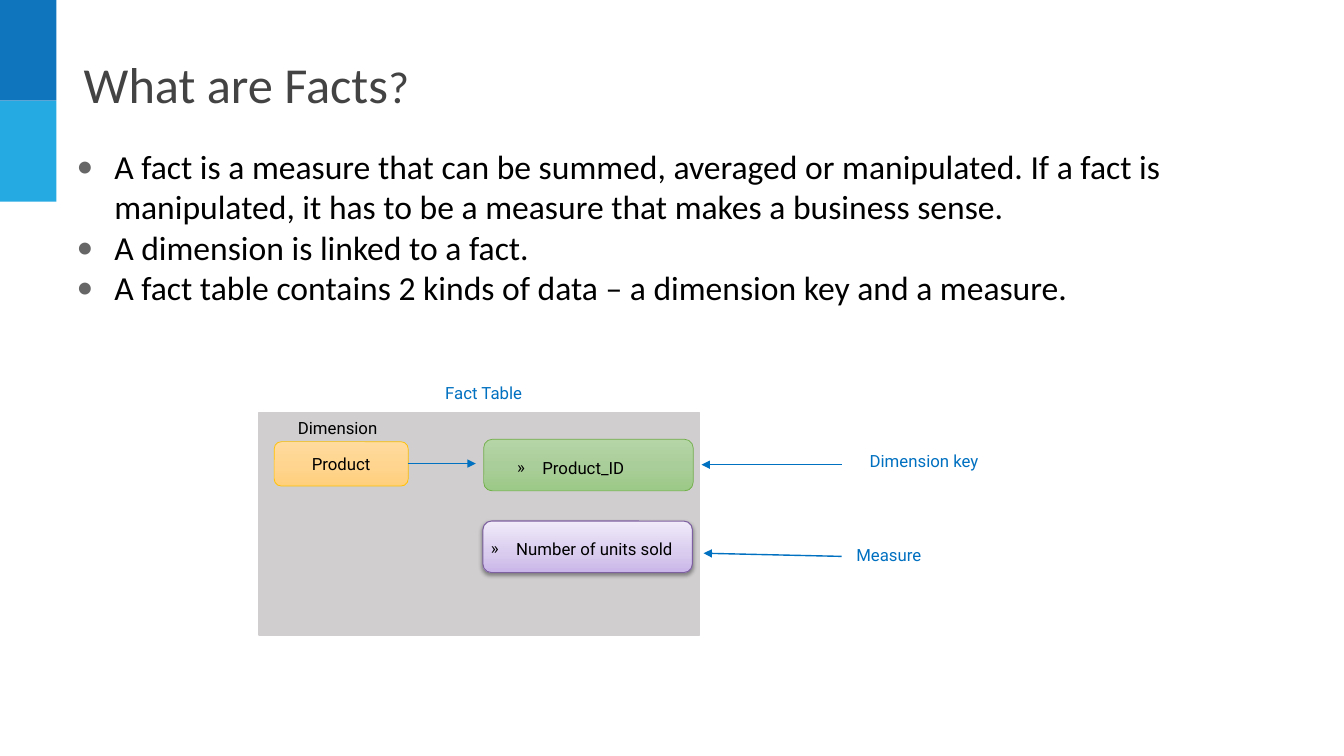
from lxml import etree
from pptx import Presentation
from pptx.dml.color import RGBColor
from pptx.enum.shapes import MSO_CONNECTOR, MSO_SHAPE
from pptx.enum.text import MSO_ANCHOR, MSO_AUTO_SIZE, PP_ALIGN
from pptx.oxml.ns import qn
from pptx.util import Cm, Pt

COLORS = {
    "title": "434343", "text": "000000", "bullet": "666666", "accent": "0070C0",
    "bar_dark": "0F75BD", "bar_light": "25AAE2", "panel": "D0CECE",
    "orange_line": "FFC000", "green_line": "70AD47", "purple_line": "7D60A0",
}


def style_paragraph(p, size, font, color, bullet=None, indent=0):
    p.space_before = Pt(0)
    if bullet:
        pPr = p._p.get_or_add_pPr()
        pPr.set("marL", str(Cm(indent)))
        pPr.set("indent", str(-Cm(indent)))
        if bullet == "•":
            clr = etree.SubElement(pPr, qn("a:buClr"))
            etree.SubElement(clr, qn("a:srgbClr"), val=COLORS["bullet"])
        etree.SubElement(pPr, qn("a:buFont"), typeface=font)
        etree.SubElement(pPr, qn("a:buChar"), char=bullet)
    for r in p.runs:
        r.font.size = Pt(size)
        r.font.name = font
        r.font.color.rgb = RGBColor.from_string(COLORS[color])


def add_box(kind, x, y, w, h, fill, line=None, width=1):
    sp = s.shapes.add_shape(kind, Cm(x), Cm(y), Cm(w), Cm(h))
    sp.shadow.inherit = False
    if isinstance(fill, str):
        sp.fill.solid()
        sp.fill.fore_color.rgb = RGBColor.from_string(COLORS[fill])
    else:
        sp.fill.gradient()
        sp.fill.gradient_angle = 270
        stops = sp._element.spPr.find(qn("a:gradFill")).find(qn("a:gsLst"))
        for gs in list(stops):
            stops.remove(gs)
        for pos, color in fill:
            gs = etree.SubElement(stops, qn("a:gs"), pos=str(pos * 1000))
            etree.SubElement(gs, qn("a:srgbClr"), val=color)
    if line:
        sp.line.color.rgb = RGBColor.from_string(COLORS[line])
        sp.line.width = Pt(width)
    else:
        sp.line.fill.background()
    return sp


prs = Presentation()
prs.slide_width, prs.slide_height = Cm(33.87), Cm(19.05)
s = prs.slides.add_slide(prs.slide_layouts[1])

title = s.shapes.title
title.left, title.top, title.width, title.height = Cm(1.98), Cm(1.27), Cm(27.94), Cm(2.54)
tf = title.text_frame
tf.auto_size = MSO_AUTO_SIZE.NONE
tf.vertical_anchor = MSO_ANCHOR.TOP
tf.margin_left = tf.margin_right = Cm(0.13)
tf.margin_top = tf.margin_bottom = Cm(0.08)
p = tf.paragraphs[0]
p.alignment = PP_ALIGN.LEFT
for text in ("What are Facts", "?"):
    p.add_run().text = text
style_paragraph(p, 36, "Calibri", "title")
p.runs[1].font.size = Pt(32)

for i, color in enumerate(("bar_dark", "bar_light")):
    add_box(MSO_SHAPE.RECTANGLE, 0, i * 2.54, 1.42, 2.54, color)

body = s.placeholders[1]
body.left, body.top, body.width, body.height = Cm(1.6), Cm(3.35), Cm(29.49), Cm(5.84)
tf = body.text_frame
tf.auto_size = MSO_AUTO_SIZE.NONE
tf.vertical_anchor = MSO_ANCHOR.TOP
tf.margin_left = tf.margin_right = tf.margin_top = tf.margin_bottom = Cm(0.33)
tf.text = "\n".join((
    "A fact is a measure that can be summed, averaged or manipulated. If a fact is "
    "manipulated, it has to be a measure that makes a business sense.",
    "A dimension is linked to a fact.",
    "A fact table contains 2 kinds of data – a dimension key and a measure.",
))
for p in tf.paragraphs:
    style_paragraph(p, 24, "Calibri", "text", "•", 0.95)

add_box(MSO_SHAPE.RECTANGLE, 6.53, 10.39, 11.1, 5.61, "panel", "panel")

product = add_box(MSO_SHAPE.ROUNDED_RECTANGLE, 6.91, 11.13, 3.38, 1.12,
                  ((0, "FFDB9E"), (50, "FFD590"), (100, "FFD07C")), "orange_line", 0.5)
tf = product.text_frame
tf.text = "Product"
tf.vertical_anchor = MSO_ANCHOR.MIDDLE
tf.paragraphs[0].alignment = PP_ALIGN.CENTER
style_paragraph(tf.paragraphs[0], 12, "Roboto", "text")

add_box(MSO_SHAPE.ROUNDED_RECTANGLE, 12.19, 11.07, 5.28, 1.3,
        ((0, "B5D5A7"), (50, "AACE9A"), (100, "9CC987")), "green_line", 0.5)
measure = add_box(MSO_SHAPE.ROUNDED_RECTANGLE, 12.17, 13.13, 5.28, 1.3,
                  ((0, "F0EAF9"), (65, "D8CBEE"), (100, "C9B5E8")), "purple_line", 0.75)
effects = measure._element.spPr.find(qn("a:effectLst"))
shadow = etree.SubElement(effects, qn("a:outerShdw"), blurRad=str(Pt(3.1)),
                          dist=str(Pt(1.6)), dir="5400000", rotWithShape="0")
clr = etree.SubElement(shadow, qn("a:srgbClr"), val=COLORS["text"])
etree.SubElement(clr, qn("a:alpha"), val="38000")

for text, x, y, w, h, color, bullet in (
    ("Fact Table", 9.65, 9.53, 5.08, 0.84, "accent", None),
    ("Dimension", 5.97, 10.41, 5.08, 0.84, "text", None),
    ("Dimension key", 20.75, 11.23, 5.08, 0.84, "accent", None),
    ("Measure", 19.86, 13.59, 5.08, 0.84, "accent", None),
    ("Product_ID", 12.78, 11.4, 5.56, 0.74, "text", "»"),
    ("Number of units sold", 12.12, 13.44, 5.56, 0.74, "text", "»"),
):
    tf = s.shapes.add_textbox(Cm(x), Cm(y), Cm(w), Cm(h)).text_frame
    tf.word_wrap = True
    tf.text = text
    p = tf.paragraphs[0]
    p.alignment = PP_ALIGN.LEFT if bullet else PP_ALIGN.CENTER
    style_paragraph(p, 12, "Roboto", color, bullet, 0.64)

for x1, y1, x2, y2 in (
    (10.29, 11.68, 11.99, 11.68),
    (21.21, 11.71, 17.68, 11.71),
    (21.21, 14.02, 17.73, 13.94),
):
    arrow = s.shapes.add_connector(MSO_CONNECTOR.STRAIGHT, Cm(x1), Cm(y1), Cm(x2), Cm(y2))
    arrow.line.color.rgb = RGBColor.from_string(COLORS["accent"])
    arrow.line.width = Pt(1)
    etree.SubElement(arrow.line._get_or_add_ln(), qn("a:tailEnd"), type="triangle")
    etree.SubElement(arrow._element.spPr, qn("a:effectLst"))

prs.save("out.pptx")
